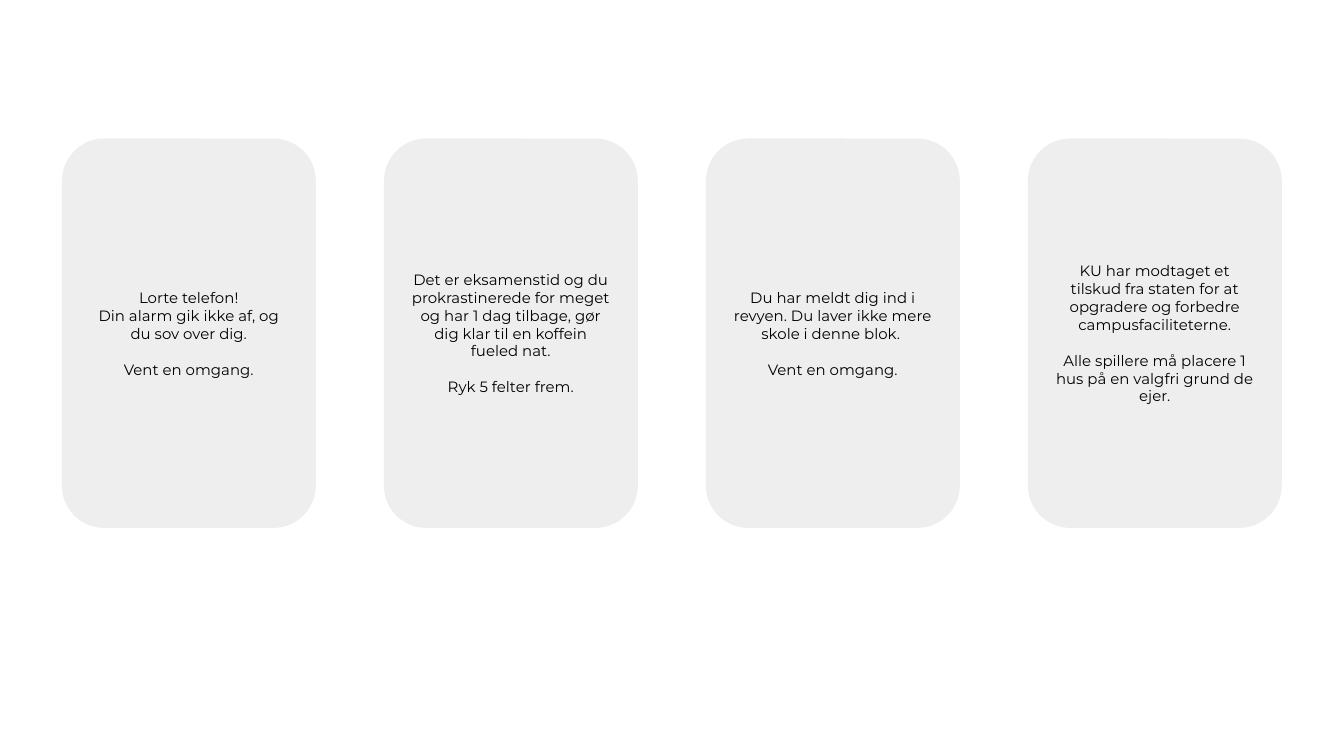
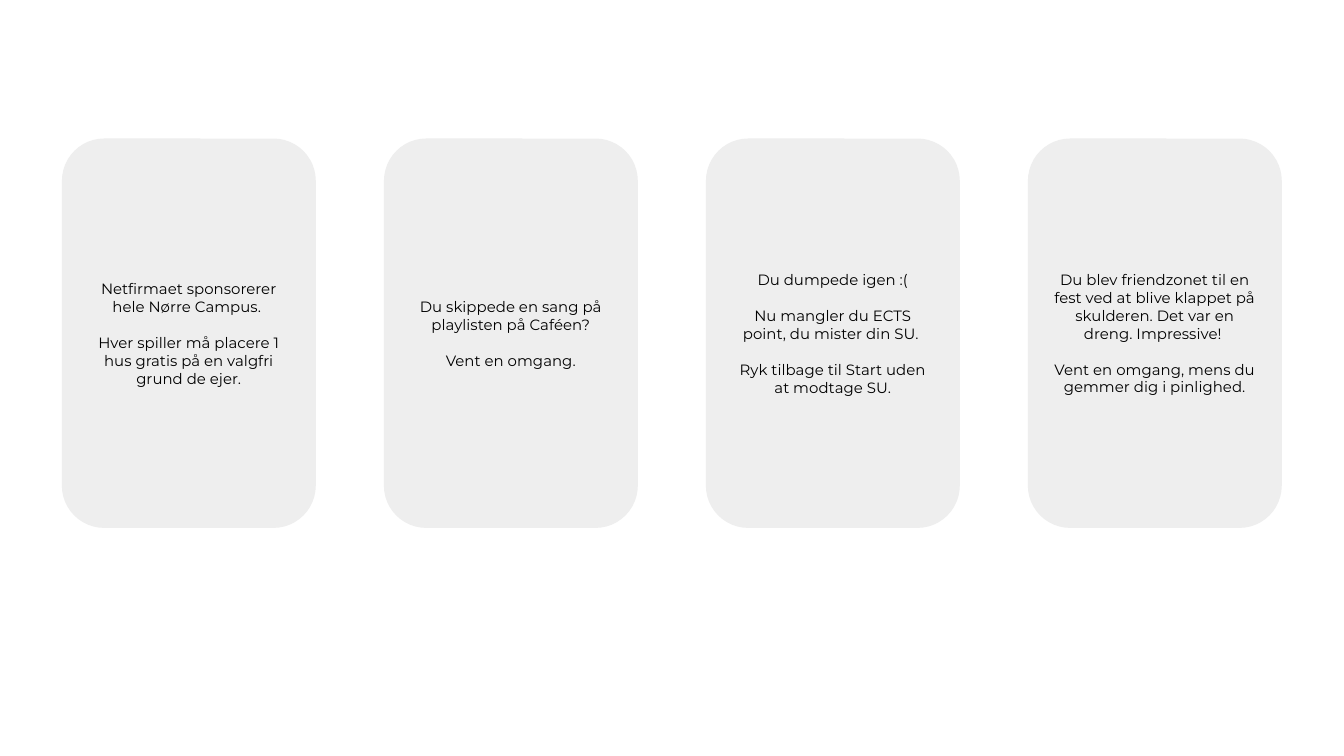
"""Builds two slides of four chance cards each."""
import pptx
import pptx.util
import pptx.dml.color
import pptx.enum.shapes
import pptx.enum.text

Pt = pptx.util.Pt
WAIT = "Vent en omgang."
LEFT, TOP, WIDTH, HEIGHT, STEP = 33.2, 74.2, 136, 208.6, 172.5
INSET, SIZE, GAP = 7.2, 8, 9.75

decks = [
    [
        [["Lorte telefon!", "Din alarm gik ikke af, og du sov over dig."], [WAIT]],
        [["Det er eksamenstid og du prokrastinerede for meget og har 1 dag tilbage, "
          "gør dig klar til en koffein fueled nat."],
         ["Ryk 5 felter frem."]],
        [["Du har meldt dig ind i revyen. Du laver ikke mere skole i denne blok. "], [WAIT]],
        [["KU har modtaget et tilskud fra staten for at opgradere og forbedre "
          "campusfaciliteterne."],
         ["Alle spillere må placere 1 hus på en valgfri grund de ejer."]],
    ],
    [
        [["Netfirmaet sponsorerer hele Nørre Campus. "],
         ["Hver spiller må placere 1 hus gratis på en valgfri grund de ejer."]],
        [["Du skippede en sang på playlisten på Caféen?"], [WAIT]],
        [["Du dumpede igen :("],
         ["Nu mangler du ECTS point, du mister din SU. "],
         ["Ryk tilbage til Start uden at modtage SU."]],
        [["Du blev friendzonet til en fest ved at blive klappet på skulderen. "
          "Det var en dreng. Impressive! "],
         ["Vent en omgang, mens du gemmer dig i pinlighed."]],
    ],
]


def paint(fill, code):
    fill.solid()
    fill.fore_color.rgb = pptx.dml.color.RGBColor.from_string(code)


prs = pptx.Presentation()
prs.slide_width, prs.slide_height = Pt(720), Pt(405)

for cards in decks:
    slide = prs.slides.add_slide(prs.slide_layouts[6])
    paint(slide.background.fill, "FFFFFF")
    for col, blocks in enumerate(cards):
        card = slide.shapes.add_shape(
            pptx.enum.shapes.MSO_SHAPE.ROUNDED_RECTANGLE,
            Pt(LEFT + col * STEP), Pt(TOP), Pt(WIDTH), Pt(HEIGHT))
        card.shadow.inherit = False
        card.line.fill.background()
        paint(card.fill, "EEEEEE")

        frame = card.text_frame
        frame.word_wrap = True
        frame.vertical_anchor = pptx.enum.text.MSO_ANCHOR.MIDDLE
        frame.margin_left = frame.margin_right = Pt(INSET)
        frame.margin_top = frame.margin_bottom = Pt(INSET)

        para = frame.paragraphs[0]
        for row, block in enumerate(blocks):
            for num, line in enumerate(block):
                if row or num:
                    para = frame.add_paragraph()
                para.alignment = pptx.enum.text.PP_ALIGN.CENTER
                para.space_before = Pt(GAP if row and not num else 0)
                run = para.add_run()
                run.text = line
                run.font.name = "Montserrat"
                run.font.size = Pt(SIZE)
                paint(run.font.fill, "000000")

prs.save("out.pptx")
